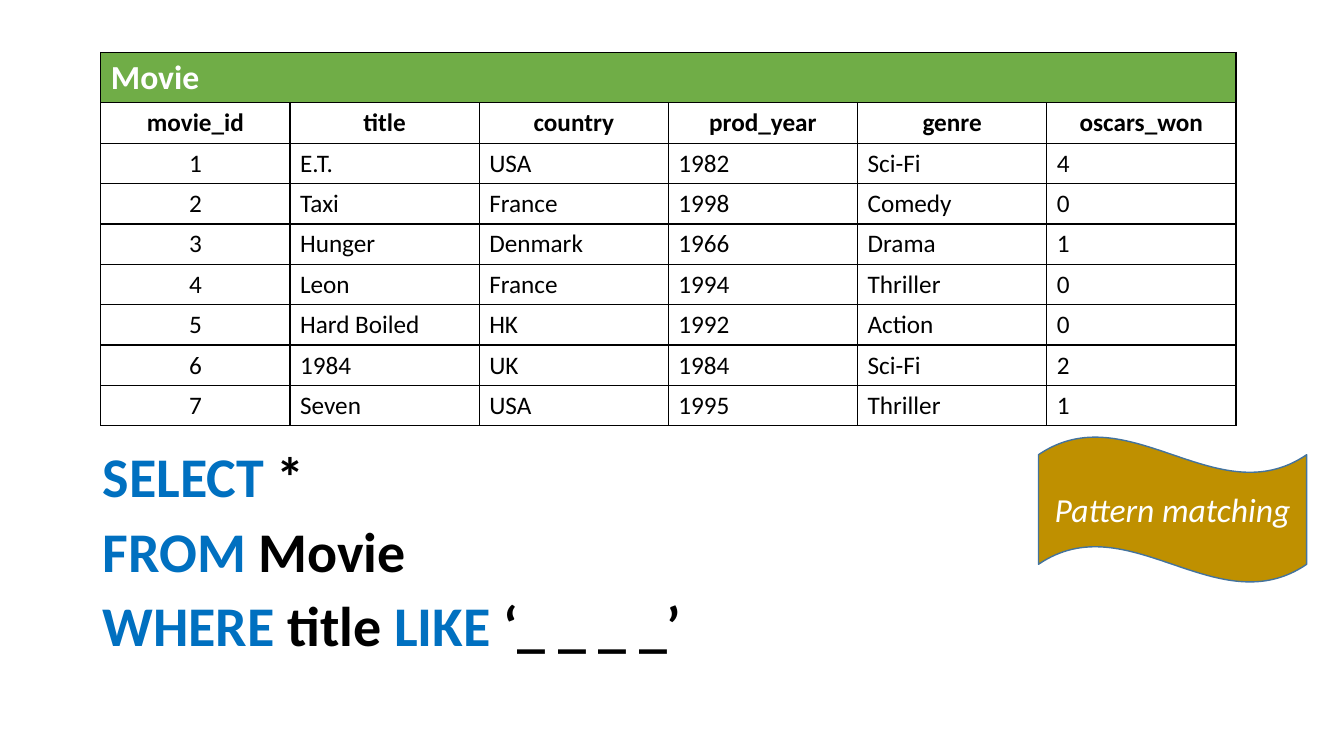
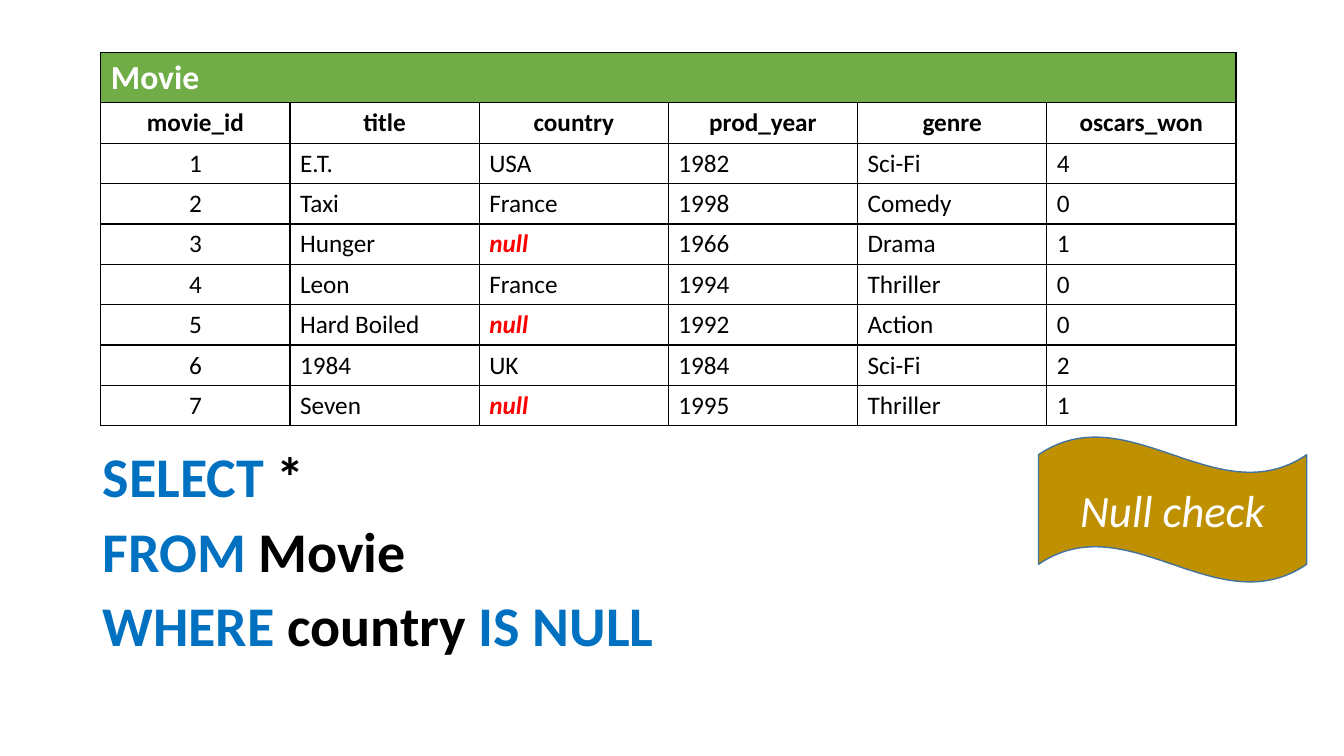
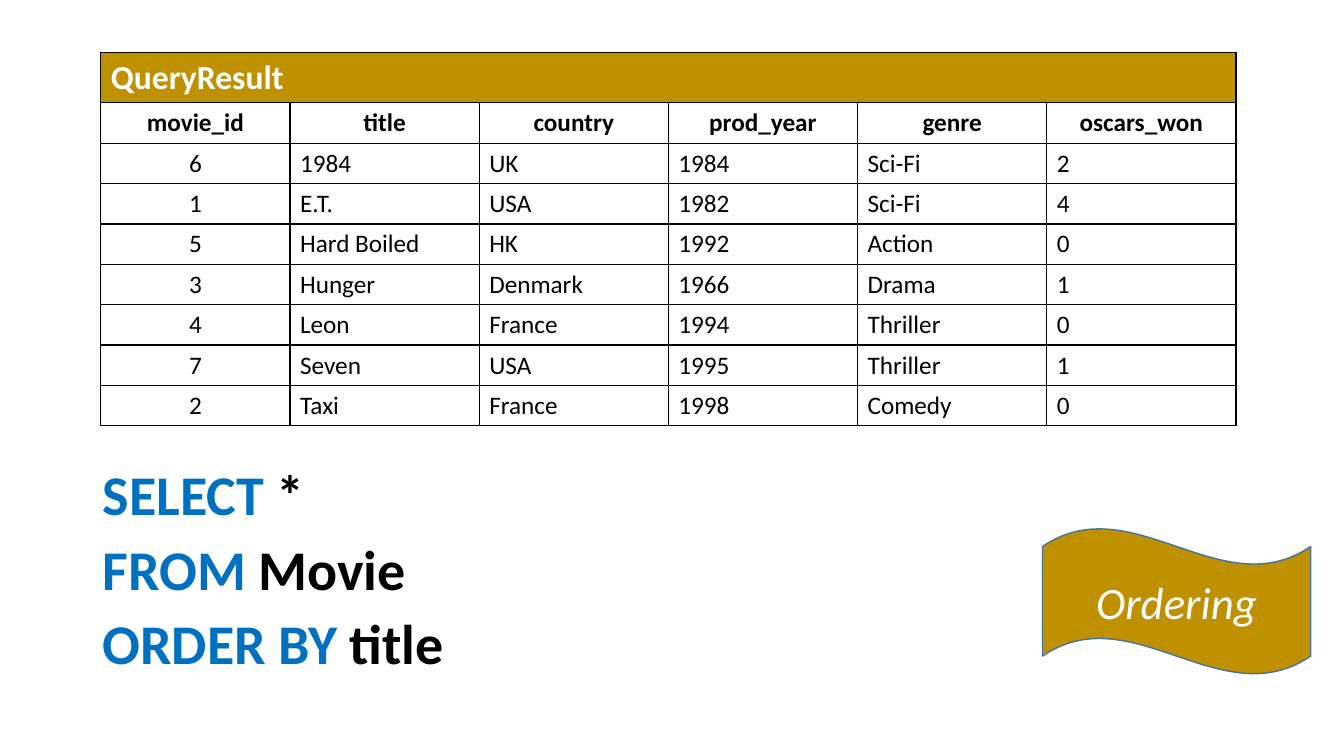
from lxml import etree
from pptx import Presentation
from pptx.dml.color import RGBColor
from pptx.enum import shapes, text
from pptx.oxml import ns
from pptx.util import Inches, Pt

FONT = "Calibri"
BLACK = RGBColor(0x00, 0x00, 0x00)
WHITE = RGBColor(0xFF, 0xFF, 0xFF)
KEYWORD_BLUE = RGBColor(0x00, 0x70, 0xC0)
SOURCE_GREEN = RGBColor(0x70, 0xAD, 0x47)
RESULT_GOLD = RGBColor(0xBF, 0x90, 0x00)
WAVE_EDGE = RGBColor(0x43, 0x73, 0x9E)
NULL_RED = RGBColor(0xFF, 0x00, 0x00)

COLUMNS = ("movie_id", "title", "country", "prod_year", "genre", "oscars_won")
MOVIES = [
    ("1", "E.T.", "USA", "1982", "Sci-Fi", "4"),
    ("2", "Taxi", "France", "1998", "Comedy", "0"),
    ("3", "Hunger", "Denmark", "1966", "Drama", "1"),
    ("4", "Leon", "France", "1994", "Thriller", "0"),
    ("5", "Hard Boiled", "HK", "1992", "Action", "0"),
    ("6", "1984", "UK", "1984", "Sci-Fi", "2"),
    ("7", "Seven", "USA", "1995", "Thriller", "1"),
]
UNKNOWN_COUNTRY_IDS = {"3", "5", "7"}
SELECT_FROM = [("SELECT", " *"), ("FROM", " Movie")]


def style(run, size, color, bold=False, italic=False):
    font = run.font
    font.name, font.size = FONT, Pt(size)
    font.bold, font.italic = bold, italic
    font.color.rgb = color


def add_borders(cell):
    properties = cell._tc.get_or_add_tcPr()
    for side in ("lnL", "lnR", "lnT", "lnB"):
        edge = etree.SubElement(properties, ns.qn(f"a:{side}"), w=str(Pt(1)))
        paint = etree.SubElement(edge, ns.qn("a:solidFill"))
        etree.SubElement(paint, ns.qn("a:srgbClr"), val=str(BLACK))


def write_cell(cell, value, size, color, bold=False, italic=False, centered=False):
    cell.text_frame.text = value
    paragraph = cell.text_frame.paragraphs[0]
    paragraph.alignment = text.PP_ALIGN.CENTER if centered else text.PP_ALIGN.LEFT
    style(paragraph.runs[0], size, color, bold, italic)


def add_relation(slide, name, band_color, movies):
    relation = slide.shapes.add_table(
        len(movies) + 2, len(COLUMNS),
        Inches(1), Inches(0.52), Inches(11.26), Inches(3.7)).table
    for row in relation.rows:
        row.height = Inches(0.4)
    relation.rows[0].height = Inches(0.5)
    for cell in relation.iter_cells():
        add_borders(cell)
        cell.fill.background()

    band = relation.cell(0, 0)
    band.merge(relation.cell(0, len(COLUMNS) - 1))
    band.fill.solid()
    band.fill.fore_color.rgb = band_color
    write_cell(band, name, 24, WHITE, bold=True)

    for column, heading in enumerate(COLUMNS):
        write_cell(relation.cell(1, column), heading, 18, BLACK, bold=True, centered=True)
    for row, movie in enumerate(movies, start=2):
        for column, value in enumerate(movie):
            missing = value == "null"
            write_cell(relation.cell(row, column), value, 18,
                       NULL_RED if missing else BLACK,
                       bold=missing, italic=missing, centered=column == 0)


def add_query(slide, top, clauses):
    frame = slide.shapes.add_textbox(
        Inches(0.92), Inches(top), Inches(11.5), Inches(2.56)).text_frame
    frame.word_wrap = True
    for number, clause in enumerate(clauses):
        line = frame.add_paragraph() if number else frame.paragraphs[0]
        line.line_spacing = 0.9
        line.space_before = Pt(10 if number else 0)
        for position, part in enumerate(clause):
            run = line.add_run()
            run.text = part
            style(run, 40, BLACK if position % 2 else KEYWORD_BLUE, bold=True)


def add_topic(slide, left, top, topic, size):
    wave = slide.shapes.add_shape(
        shapes.MSO_SHAPE.WAVE, Inches(left), Inches(top), Inches(2.66), Inches(1.45))
    wave.shadow.inherit = False
    wave.fill.solid()
    wave.fill.fore_color.rgb = RESULT_GOLD
    wave.line.color.rgb = WAVE_EDGE
    wave.line.width = Pt(1)
    frame = wave.text_frame
    frame.text = topic
    frame.vertical_anchor = text.MSO_ANCHOR.MIDDLE
    frame.paragraphs[0].alignment = text.PP_ALIGN.CENTER
    style(frame.paragraphs[0].runs[0], size, WHITE, italic=True)


def main():
    deck = Presentation()
    deck.slide_width, deck.slide_height = Inches(13.33), Inches(7.5)
    blank = deck.slide_layouts[6]

    matching = deck.slides.add_slide(blank)
    add_query(matching, 4.41, SELECT_FROM + [("WHERE ", "title ", "LIKE", " ‘_ _ _ _’")])
    add_relation(matching, "Movie", SOURCE_GREEN, MOVIES)
    add_topic(matching, 10.3, 4.33, "Pattern matching", 24)

    with_nulls = [
        (*movie[:2], "null", *movie[3:]) if movie[0] in UNKNOWN_COUNTRY_IDS else movie
        for movie in MOVIES
    ]
    null_check = deck.slides.add_slide(blank)
    add_query(null_check, 4.41, SELECT_FROM + [("WHERE ", "country ", "IS NULL")])
    add_relation(null_check, "Movie", SOURCE_GREEN, with_nulls)
    add_topic(null_check, 10.3, 4.33, "Null check", 32)

    by_title = sorted(MOVIES, key=lambda movie: movie[1])
    ordering = deck.slides.add_slide(blank)
    add_relation(ordering, "QueryResult", RESULT_GOLD, by_title)
    add_query(ordering, 4.59, SELECT_FROM + [("ORDER BY", " title")])
    add_topic(ordering, 10.34, 5.24, "Ordering", 32)

    deck.save("out.pptx")


if __name__ == "__main__":
    main()
